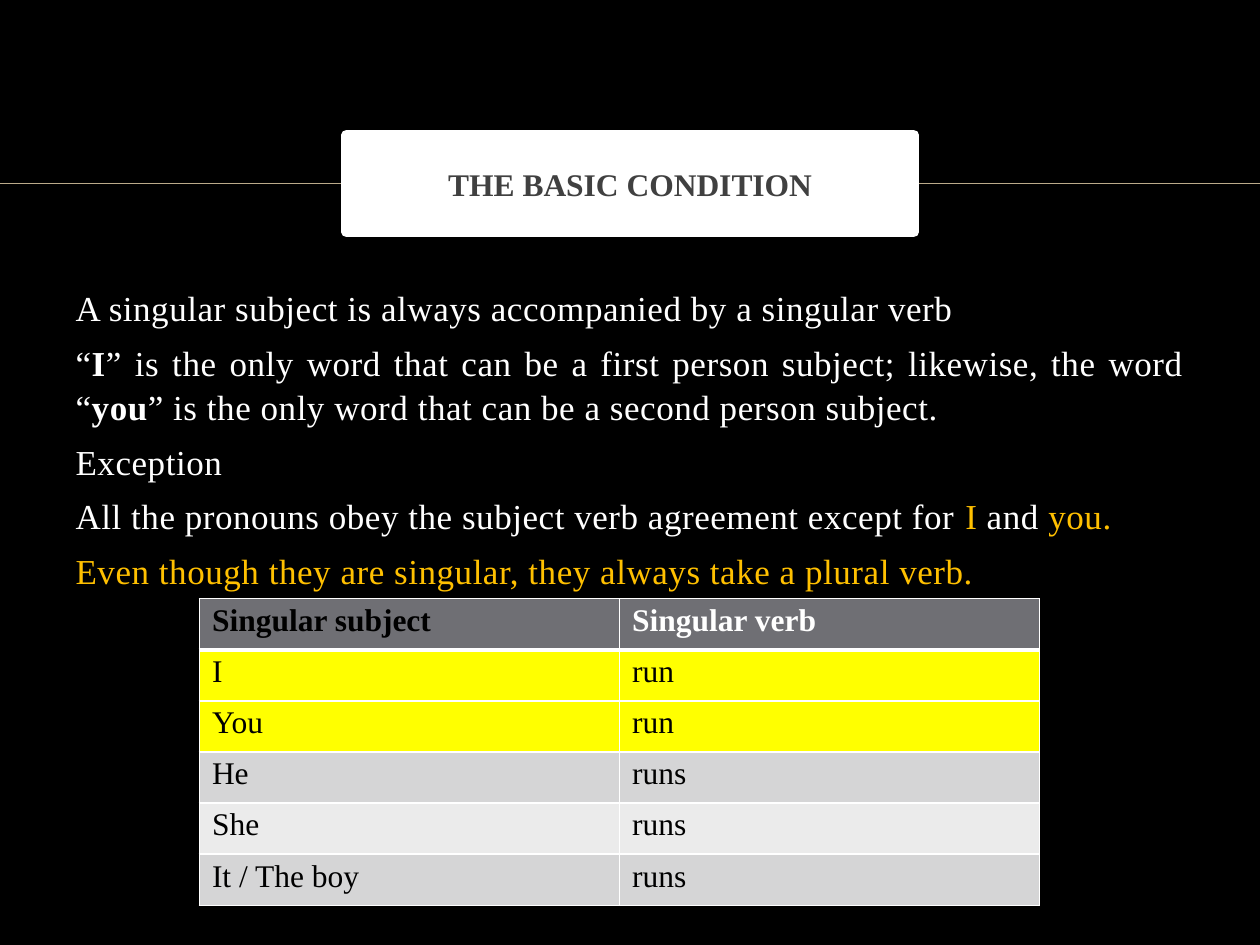
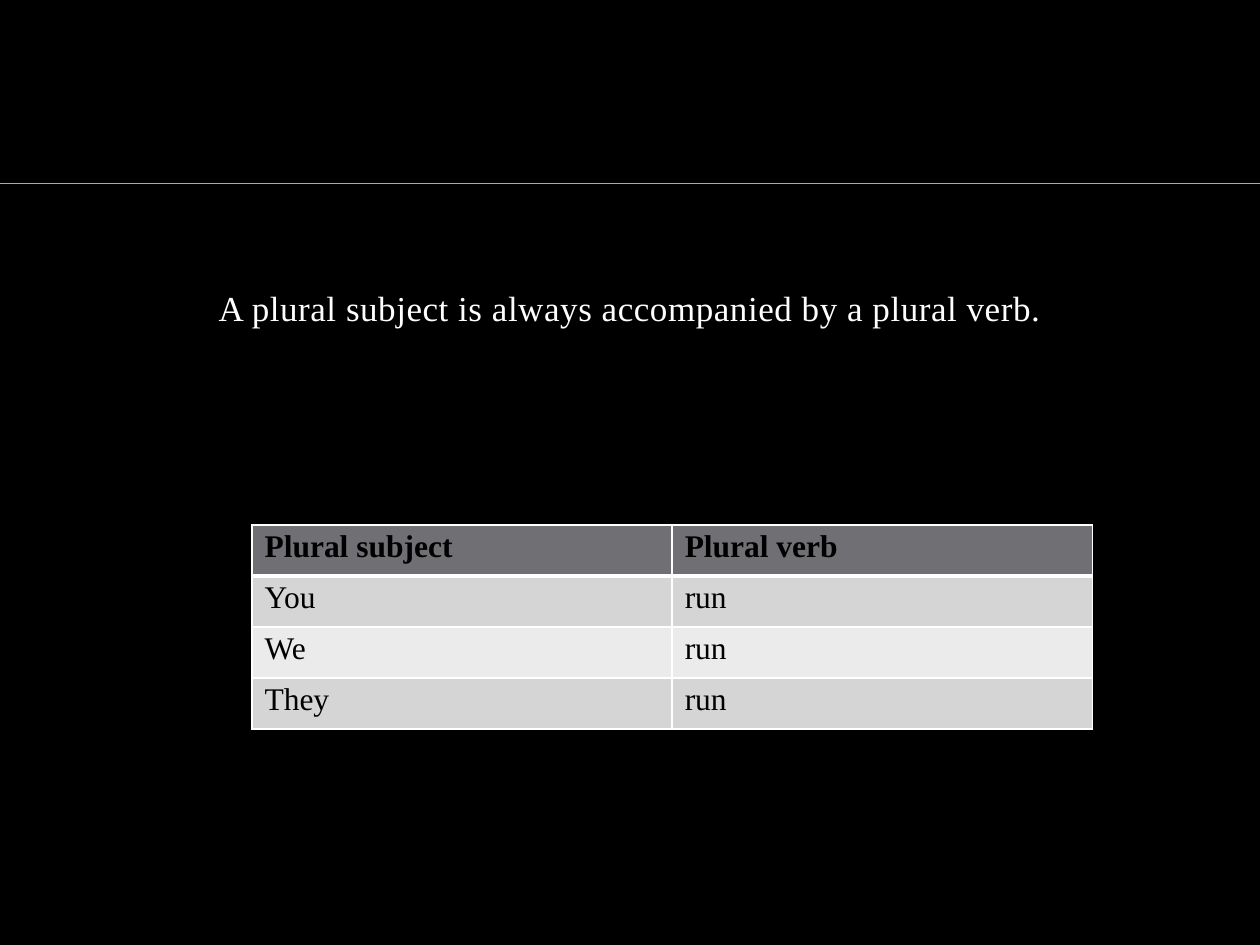
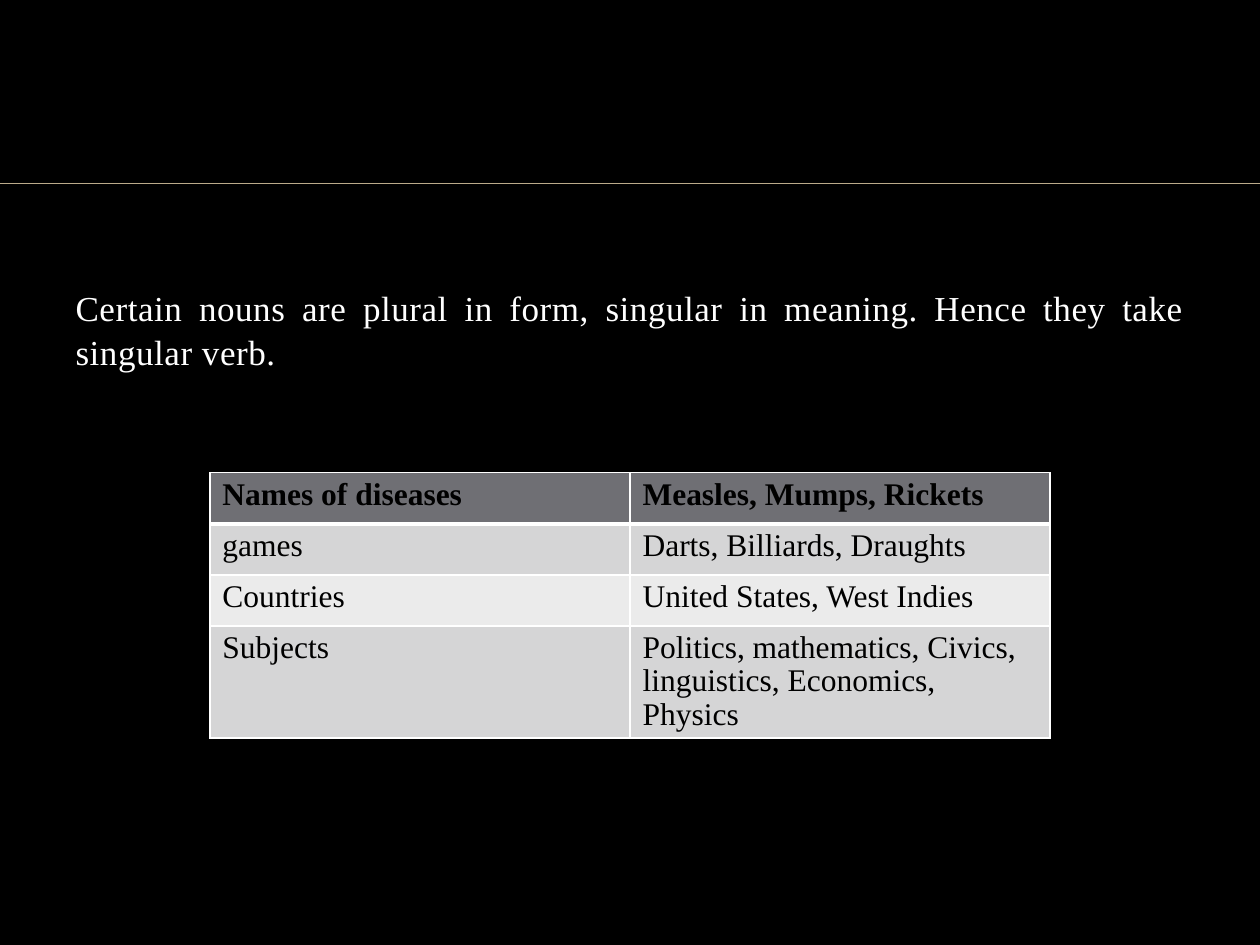
import dataclasses
import typing

import lxml.etree
import pptx
import pptx.dml.color
import pptx.enum.shapes
import pptx.enum.text
import pptx.oxml.ns
import pptx.util

Cm = pptx.util.Cm
Pt = pptx.util.Pt
RGBColor = pptx.dml.color.RGBColor
Align = pptx.enum.text.PP_ALIGN
Anchor = pptx.enum.text.MSO_ANCHOR

BLACK = RGBColor(0x00, 0x00, 0x00)
WHITE = RGBColor(0xFF, 0xFF, 0xFF)
CHARCOAL = RGBColor(0x40, 0x40, 0x40)
SAND = RGBColor(0xBB, 0xAA, 0x8A)
AMBER = RGBColor(0xFF, 0xC0, 0x00)
YELLOW = RGBColor(0xFF, 0xFF, 0x00)
HEADER_GREY = RGBColor(0x6F, 0x6F, 0x74)
BAND_GREYS = (RGBColor(0xEB, 0xEB, 0xEB), RGBColor(0xD5, 0xD5, 0xD6))

FONT = "Times New Roman"
SLIDE_WIDTH, SLIDE_HEIGHT = Cm(25.4), Cm(19.05)
RULE_TOP = Cm(3.7)
TITLE_BOX = {"left": Cm(6.99), "top": Cm(2.72), "width": Cm(11.43), "height": Cm(1.96)}
BODY_BOX = {"left": Cm(1.27), "top": Cm(5.61), "width": Cm(22.86), "height": Cm(11.33)}
COLUMN_WIDTH, ROW_HEIGHT = Cm(8.47), Cm(1.03)
BODY_FORMAT = {"name": FONT, "size": Pt(20)}
TITLE_FORMAT = {"name": FONT, "size": Pt(18), "bold": True}
TABLE_FORMAT = {"name": FONT, "size": Pt(18)}


@dataclasses.dataclass
class Run:
    text: str
    color: RGBColor = WHITE
    bold: bool = False


@dataclasses.dataclass
class VerbTable:
    left: Cm
    top: Cm
    rows: list[tuple[str, str]]
    header_colors: tuple[RGBColor, RGBColor] = (BLACK, BLACK)
    highlighted_rows: tuple[int, ...] = ()


@dataclasses.dataclass
class Lesson:
    paragraphs: list[list[Run]]
    table: VerbTable
    title: str = ""
    alignment: Align = Align.JUSTIFY


LESSONS = [
    Lesson(
        title="THE BASIC CONDITION",
        paragraphs=[
            [Run("A singular subject is always accompanied by a singular verb")],
            [
                Run("“"),
                Run("I", bold=True),
                Run("” is the only word that can be a first person subject; likewise, the word “"),
                Run("you", bold=True),
                Run("” is the only word that can be a second person subject."),
            ],
            [Run("Exception")],
            [
                Run("All the pronouns obey the subject verb agreement except for "),
                Run("I", AMBER),
                Run(" and "),
                Run("you.", AMBER),
            ],
            [Run("Even though they are singular, they always take a plural verb.", AMBER)],
        ],
        table=VerbTable(
            Cm(4.02), Cm(12.07),
            [
                ("Singular subject", "Singular verb"),
                ("I", "run"),
                ("You", "run"),
                ("He", "runs"),
                ("She", "runs"),
                ("It / The boy", "runs"),
            ],
            header_colors=(BLACK, WHITE),
            highlighted_rows=(1, 2),
        ),
    ),
    Lesson(
        paragraphs=[[Run("A plural subject is always accompanied by a plural verb.")]],
        alignment=Align.CENTER,
        table=VerbTable(
            Cm(5.08), Cm(10.58),
            [
                ("Plural subject", "Plural verb"),
                ("You", "run"),
                ("We", "run"),
                ("They", "run"),
            ],
        ),
    ),
    Lesson(
        paragraphs=[[Run("Certain nouns are plural in form, singular in meaning. "
                         "Hence they take singular verb.")]],
        table=VerbTable(
            Cm(4.23), Cm(9.53),
            [
                ("Names of diseases", "Measles, Mumps, Rickets"),
                ("games", "Darts, Billiards, Draughts"),
                ("Countries", "United States, West Indies"),
                ("Subjects", "Politics, mathematics, Civics, linguistics, Economics, Physics"),
            ],
        ),
    ),
]


def set_values(target: typing.Any, values: dict[str, typing.Any]) -> None:
    for name, value in values.items():
        setattr(target, name, value)


def add_run(paragraph, content: Run, font_format: dict[str, typing.Any]):
    run = paragraph.add_run()
    run.text = content.text
    set_values(run.font, {"bold": content.bold, **font_format})
    run.font.color.rgb = content.color
    return run


def style_master(presentation) -> None:
    """Give every slide the black background and the horizontal rule."""
    master = presentation.slide_master
    master.background.fill.solid()
    master.background.fill.fore_color.rgb = BLACK
    rule = presentation.slides[0].shapes.add_connector(
        pptx.enum.shapes.MSO_CONNECTOR.STRAIGHT, 0, RULE_TOP, SLIDE_WIDTH, RULE_TOP)
    rule.line.color.rgb = SAND
    rule.line.width = Pt(1)
    properties = rule.element.spPr
    lxml.etree.SubElement(properties, pptx.oxml.ns.qn("a:effectLst"))
    rule.element.nvCxnSpPr.cNvPr.set("id", "20")
    master.shapes.element.append(rule.element)


def fill_title(shape, title: str) -> None:
    if not title:
        shape.element.getparent().remove(shape.element)
        return
    set_values(shape, TITLE_BOX)
    shape.fill.solid()
    shape.fill.fore_color.rgb = WHITE
    shape.line.color.rgb = WHITE
    shape.line.width = Pt(6)
    frame = shape.text_frame
    set_values(frame, {"vertical_anchor": Anchor.MIDDLE, "word_wrap": True,
                       "auto_size": pptx.enum.text.MSO_AUTO_SIZE.NONE})
    paragraph = frame.paragraphs[0]
    paragraph.alignment = Align.CENTER
    add_run(paragraph, Run(title, CHARCOAL), TITLE_FORMAT)


def fill_body(shape, lesson: Lesson) -> None:
    set_values(shape, BODY_BOX)
    frame = shape.text_frame
    set_values(frame, {"vertical_anchor": Anchor.TOP, "word_wrap": True,
                       "auto_size": pptx.enum.text.MSO_AUTO_SIZE.NONE})
    for index, runs in enumerate(lesson.paragraphs):
        paragraph = frame.add_paragraph() if index else frame.paragraphs[0]
        properties = paragraph._p.get_or_add_pPr()
        set_values(properties, {"marL": 0, "indent": 0})
        for name in ("marL", "indent"):
            properties.set(name, "0")
        lxml.etree.SubElement(properties, pptx.oxml.ns.qn("a:buNone"))
        set_values(paragraph, {"alignment": lesson.alignment, "line_spacing": 1.05,
                               "space_before": Pt(6 if index else 0)})
        for content in runs:
            run = add_run(paragraph, content, BODY_FORMAT)
            run._r.get_or_add_rPr().set("spc", "30")


def add_borders(cell, row: int) -> None:
    """Draw white borders, thicker between the header and the first row."""
    thick_edge = {0: "lnB", 1: "lnT"}.get(row)
    properties = cell._tc.get_or_add_tcPr()
    for edge in ("lnL", "lnR", "lnT", "lnB"):
        width = Pt(3 if edge == thick_edge else 1)
        line = lxml.etree.SubElement(properties, pptx.oxml.ns.qn(f"a:{edge}"), w=str(int(width)))
        fill = lxml.etree.SubElement(line, pptx.oxml.ns.qn("a:solidFill"))
        lxml.etree.SubElement(fill, pptx.oxml.ns.qn("a:srgbClr"), val=str(WHITE))


def row_fill(table: VerbTable, row: int) -> RGBColor:
    if row == 0:
        return HEADER_GREY
    return YELLOW if row in table.highlighted_rows else BAND_GREYS[row % 2]


def add_verb_table(slide, content: VerbTable) -> None:
    row_count, column_count = len(content.rows), len(content.rows[0])
    table = slide.shapes.add_table(
        row_count, column_count, content.left, content.top,
        COLUMN_WIDTH * column_count, ROW_HEIGHT * row_count).table
    for row, texts in enumerate(content.rows):
        table.rows[row].height = ROW_HEIGHT
        for column, text in enumerate(texts):
            cell = table.cell(row, column)
            add_borders(cell, row)
            cell.fill.solid()
            cell.fill.fore_color.rgb = row_fill(content, row)
            paragraph = cell.text_frame.paragraphs[0]
            paragraph.line_spacing = 0.95
            color = BLACK if row else content.header_colors[column]
            add_run(paragraph, Run(text, color, bold=row == 0), TABLE_FORMAT)


def add_lesson(presentation, lesson: Lesson) -> None:
    slide = presentation.slides.add_slide(presentation.slide_layouts[1])
    title, body = slide.placeholders
    fill_body(body, lesson)
    fill_title(title, lesson.title)
    add_verb_table(slide, lesson.table)


def main() -> None:
    presentation = pptx.Presentation()
    set_values(presentation, {"slide_width": SLIDE_WIDTH, "slide_height": SLIDE_HEIGHT})
    for lesson in LESSONS:
        add_lesson(presentation, lesson)
    style_master(presentation)
    presentation.save("out.pptx")


if __name__ == "__main__":
    main()
